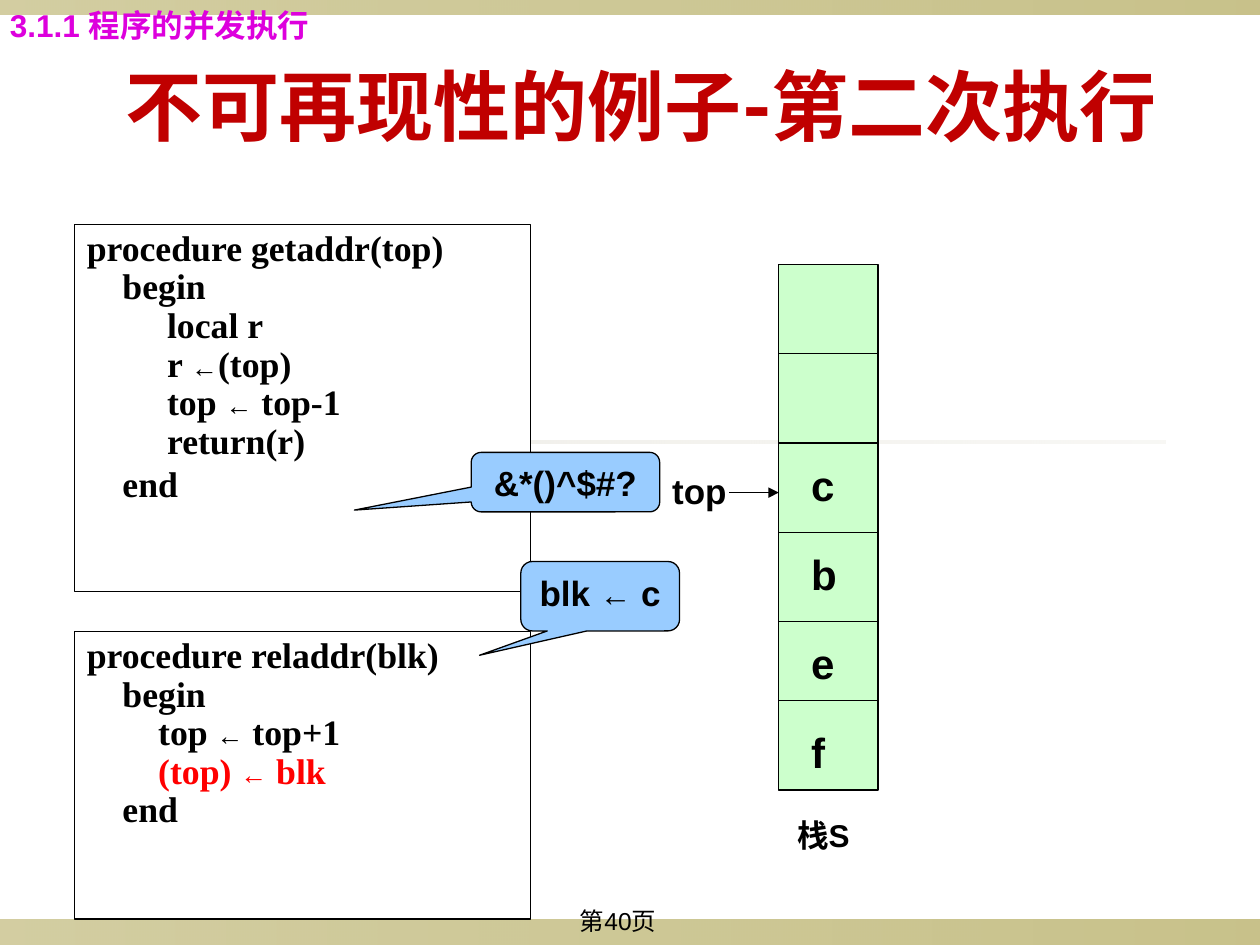
from dataclasses import dataclass

from lxml.etree import SubElement
from pptx import Presentation
from pptx.dml.color import RGBColor
from pptx.enum.shapes import MSO_CONNECTOR as Connector, MSO_SHAPE as Shape
from pptx.enum.text import MSO_ANCHOR as Anchor, PP_ALIGN as Align
from pptx.oxml.ns import qn
from pptx.util import Cm, Pt


@dataclass(frozen=True)
class Theme:
    """Colours, fonts and type sizes of the slide."""
    ink: str = "000000"
    paper: str = "FFFFFF"
    title: str = "C00000"
    section: str = "DD00DD"
    alert: str = "FF0000"
    stack: str = "CCFFCC"
    callout: str = "99CCFF"
    band: str = "918415"
    rule: str = "DCD9CC"
    sans: str = "Arial"
    serif: str = "Times New Roman"
    display: str = "Roboto"
    title_size: float = 44
    cell_size: float = 24
    code_size: float = 20.4
    code_arrow_size: float = 15.3
    label_size: float = 20
    label_arrow_size: float = 18
    small_size: float = 18
    footer_size: float = 14
    line_width: float = 0.75


THEME = Theme()

GETADDR = ["procedure getaddr(top)", "    begin", "         local r", "         r ←(top)",
           "         top ← top-1", "         return(r)", "    end"]
RELADDR = ["procedure reladdr(blk)", "    begin", "        top ← top+1",
           "        (top) ← blk", "    end"]


def colour(value):
    """Turn a hex string into a colour."""
    return RGBColor.from_string(value)


def write(para, text, *, size, font=THEME.sans, color=THEME.ink, bold=True, arrow_size=None):
    """Add text to a paragraph, setting any arrow in the sans font at its own size."""
    before, arrow, after = text.partition("←")
    for part in (before, arrow, after):
        if part:
            span = para.add_run()
            span.text = part
            is_arrow = part == "←"
            span.font.name = THEME.sans if is_arrow else font
            span.font.size = Pt(arrow_size or size) if is_arrow else Pt(size)
            span.font.bold = bold
            span.font.color.rgb = colour(color)


def add_label(page, text, left, top, width, height, *, align=Align.LEFT, anchor=Anchor.TOP,
              **style):
    """Add a one-line text box."""
    box = page.shapes.add_textbox(Cm(left), Cm(top), Cm(width), Cm(height))
    frame = box.text_frame
    frame.word_wrap = True
    frame.vertical_anchor = anchor
    frame.paragraphs[0].alignment = align
    write(frame.paragraphs[0], text, **style)


def add_panel(page, kind, left, top, width, height, fill):
    """Add a filled shape with a thin dark outline."""
    box = page.shapes.add_shape(kind, Cm(left), Cm(top), Cm(width), Cm(height))
    box.shadow.inherit = False
    box.fill.solid()
    box.fill.fore_color.rgb = colour(fill)
    box.line.color.rgb = colour(THEME.ink)
    box.line.width = Pt(THEME.line_width)
    box.text_frame.word_wrap = True
    box.text_frame.vertical_anchor = Anchor.TOP
    return box


def add_band(page, left, top, width, height, color, opacities):
    """Add a strip of one colour whose opacity changes from left to right."""
    box = page.shapes.add_shape(Shape.RECTANGLE, Cm(left), Cm(top), Cm(width), Cm(height))
    box.shadow.inherit = False
    box.line.fill.background()
    box.fill.gradient()
    box.fill.gradient_angle = 0
    for stop in box.fill.gradient_stops:
        stop.color.rgb = colour(color)
    tints = box._element.spPr.iter(qn("a:srgbClr"))
    for tint, opacity in zip(tints, opacities):
        SubElement(tint, qn("a:alpha")).set("val", str(opacity * 1000))


def add_line(page, left, right, height, arrow=False):
    """Add a horizontal line, with an arrowhead at its right end if asked."""
    line = page.shapes.add_connector(
        Connector.STRAIGHT, Cm(left), Cm(height), Cm(right), Cm(height))
    line.line.color.rgb = colour(THEME.ink)
    line.line.width = Pt(THEME.line_width)
    if arrow:
        SubElement(line.line._get_or_add_ln(), qn("a:tailEnd")).set("type", "triangle")
    SubElement(line._element.spPr, qn("a:effectLst"))


def add_code(page, lines, top, height, alert=None, last_gap=0):
    """Add a framed procedure listing with an optional highlighted line."""
    frame = add_panel(page, Shape.RECTANGLE, 1.5, top, 9.2, height, THEME.paper).text_frame
    for index, text in enumerate(lines):
        para = frame.add_paragraph() if index else frame.paragraphs[0]
        para.alignment = Align.JUSTIFY
        para.line_spacing = 0.9
        write(para, text, size=THEME.code_size, font=THEME.serif,
              color=THEME.alert if index == alert else THEME.ink,
              arrow_size=THEME.code_arrow_size)
    para.space_before = Pt(last_gap)


def add_callout(page, text, left, top, width, height, tip):
    """Add a rounded callout whose pointer ends at the given relative tip."""
    box = add_panel(page, Shape.ROUNDED_RECTANGULAR_CALLOUT, left, top, width, height,
                    THEME.callout)
    box.adjustments[0], box.adjustments[1] = tip
    para = box.text_frame.paragraphs[0]
    para.alignment = Align.CENTER
    write(para, text, size=THEME.label_size, arrow_size=THEME.label_arrow_size)


def add_stack(page):
    """Add the stack with its dividers, contents, name and top pointer."""
    left, right, top, pitch = 15.7, 17.7, 5.33, 1.8
    add_panel(page, Shape.RECTANGLE, left, top, right - left, 10.6, THEME.stack)
    for divider in [top + pitch * step for step in range(1, 5)] + [14.12]:
        add_line(page, left, right, divider)
    add_label(page, "栈S", 13.9, 16.33, 5.4, 1.02, align=Align.CENTER, size=THEME.small_size)
    for index, item in enumerate("cbef"):
        add_label(page, item, 16.1, 9.13 + pitch * index, 1.2, 1.27, size=THEME.cell_size)
    add_label(page, "top", 13.3, 9.33, 2.2, 1.12, size=THEME.label_size)
    add_line(page, 14.7, left, 9.93, arrow=True)


def main():
    """Build the slide and save it."""
    deck = Presentation()
    deck.slide_width, deck.slide_height = Cm(25.4), Cm(19.05)
    page = deck.slides.add_slide(deck.slide_layouts[6])
    add_band(page, 0, 18.54, 25.4, 0.51, THEME.band, (40, 50))
    add_band(page, 0, 0, 25.4, 0.3, THEME.band, (40, 50))
    add_band(page, 1.9, 8.88, 21.6, 0.06, THEME.rule, (50, 20))
    add_label(page, "第40页", 9.5, 18.14, 5.92, 0.91, align=Align.CENTER,
              size=THEME.footer_size, bold=False)
    add_label(page, "不可再现性的例子-第二次执行", 1.5, 0.53, 22.86, 3.18, align=Align.CENTER,
              anchor=Anchor.MIDDLE, size=THEME.title_size, font=THEME.display,
              color=THEME.title)
    add_code(page, GETADDR, 4.52, 7.4, last_gap=2.5)
    add_code(page, RELADDR, 12.73, 5.8, alert=3)
    add_stack(page)
    add_callout(page, "blk ← c", 10.5, 11.32, 3.2, 1.4, (-0.76, 0.85))
    add_callout(page, "&*()^$#?", 9.5, 9.12, 3.8, 1.2, (-1.12, 0.47))
    add_label(page, "3.1.1 程序的并发执行", -0.05, 0, 7.2, 1.02,
              size=THEME.small_size, color=THEME.section)
    deck.save("out.pptx")


if __name__ == "__main__":
    main()
